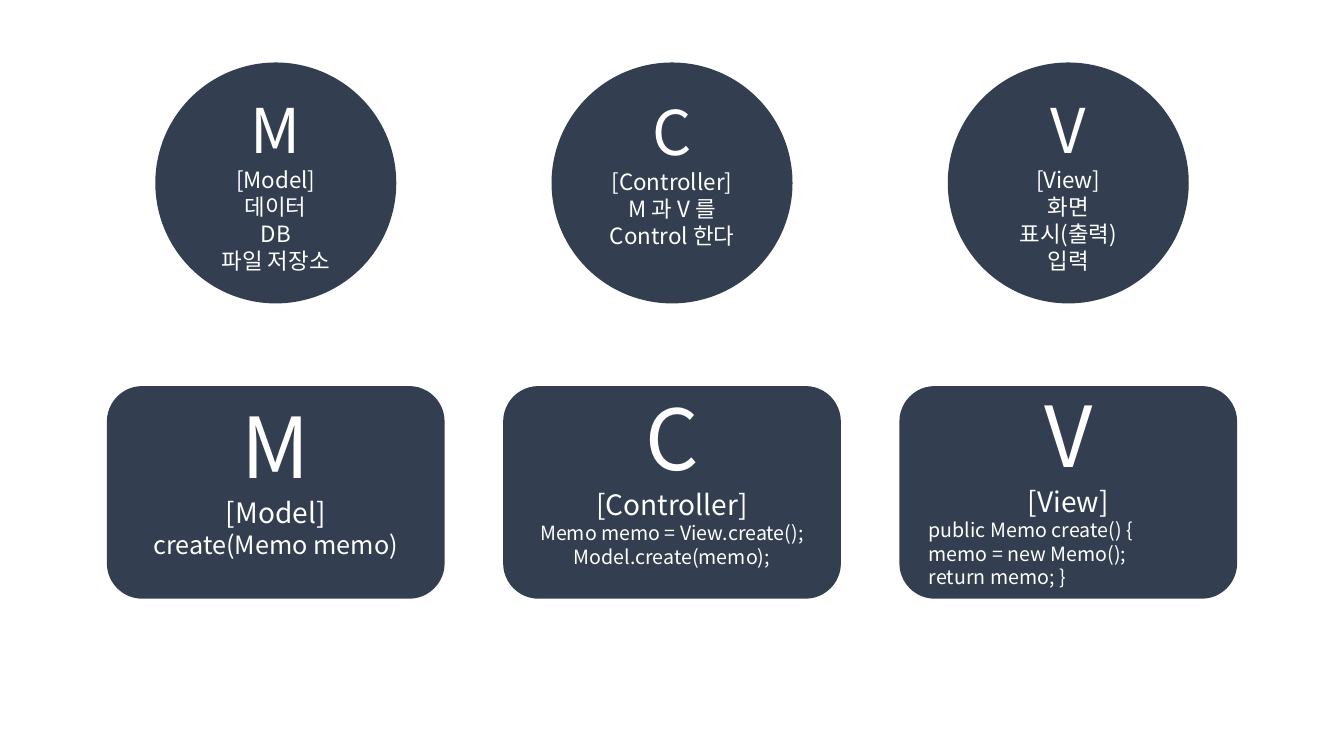
from dataclasses import dataclass

from pptx import Presentation
from pptx.dml.color import RGBColor
from pptx.enum.shapes import MSO_SHAPE
from pptx.enum.text import MSO_ANCHOR, PP_ALIGN
from pptx.oxml.ns import qn
from pptx.slide import Slide
from pptx.util import Inches, Pt

CIRCLE = MSO_SHAPE.OVAL
CARD = MSO_SHAPE.ROUNDED_RECTANGLE
MIDDLE = MSO_ANCHOR.MIDDLE
LEFT, CENTER = PP_ALIGN.LEFT, PP_ALIGN.CENTER

FONT = "Noto Sans CJK KR"
NAVY, WHITE = "333F50", "FFFFFF"
COLUMN_PITCH = 3.93
FIRST_CENTER = 2.735
CODE_INDENT = 0.09


@dataclass(frozen=True)
class Row:
    shape_type: MSO_SHAPE
    top: float
    width: float
    height: float
    letter_size: int
    name_size: int


@dataclass(frozen=True)
class Part:
    row: Row
    column: int
    letter: str
    name: str
    details: tuple[str, ...]
    detail_size: int = 16
    detail_alignment: PP_ALIGN = CENTER
    inset_top: float = 0.05
    inset_bottom: float = 0.05


CIRCLES = Row(CIRCLE, 0.62, 2.39, 2.39, 44, 16)
CARDS = Row(CARD, 3.83, 3.35, 2.11, 60, 20)

PARTS = (
    # Roles
    Part(CIRCLES, 0, "M", "[Model]", ("데이터", "DB", "파일 저장소")),
    Part(CIRCLES, 1, "C", "[Controller]", ("M 과 V 를", "Control 한다"),
         inset_bottom=0.28),
    Part(CIRCLES, 2, "V", "[View]", ("화면", "표시(출력)", "입력")),
    # Code examples
    Part(CARDS, 0, "M", "[Model]", ("create(Memo memo)",), 18,
         inset_bottom=0.35),
    Part(CARDS, 1, "C", "[Controller]",
         ("Memo memo = View.create();", "Model.create(memo);"), 14,
         inset_bottom=0.35),
    Part(CARDS, 2, "V", "[View]",
         ("public Memo create() {", "memo = new Memo();", "return memo; }"),
         14, LEFT, inset_top=0.23, inset_bottom=0.35),
)


def color(value: str) -> RGBColor:
    return RGBColor.from_string(value)


def draw_part(slide: Slide, part: Part) -> None:
    row = part.row
    left = FIRST_CENTER + part.column * COLUMN_PITCH - row.width / 2
    shape = slide.shapes.add_shape(row.shape_type, Inches(left), Inches(row.top),
                                   Inches(row.width), Inches(row.height))
    shape.shadow.inherit = False
    shape.fill.solid()
    shape.fill.fore_color.rgb = color(NAVY)
    shape.line.fill.background()

    # Text
    text_frame = shape.text_frame
    text_frame.word_wrap = True
    text_frame.vertical_anchor = MIDDLE
    text_frame.margin_top = Inches(part.inset_top)
    text_frame.margin_bottom = Inches(part.inset_bottom)
    text_frame.text = "\n".join((part.letter, part.name, *part.details))
    sizes = [row.letter_size, row.name_size]
    sizes += [part.detail_size] * len(part.details)
    for index, (paragraph, size) in enumerate(zip(text_frame.paragraphs, sizes)):
        paragraph.alignment = CENTER if index < 2 else part.detail_alignment
        if paragraph.alignment == LEFT:
            paragraph._p.get_or_add_pPr().set("marL", str(Inches(CODE_INDENT)))
        for run in paragraph.runs:
            run.font.name = FONT
            run.font.size = Pt(size)
            run.font.color.rgb = color(WHITE)
            east_asian = run.font._element.makeelement(qn("a:ea"), {"typeface": FONT})
            run.font._element.append(east_asian)


presentation = Presentation()
presentation.slide_width = Inches(13.33)
presentation.slide_height = Inches(7.5)
slide = presentation.slides.add_slide(presentation.slide_layouts[6])
for part in PARTS:
    draw_part(slide, part)
presentation.save("out.pptx")
